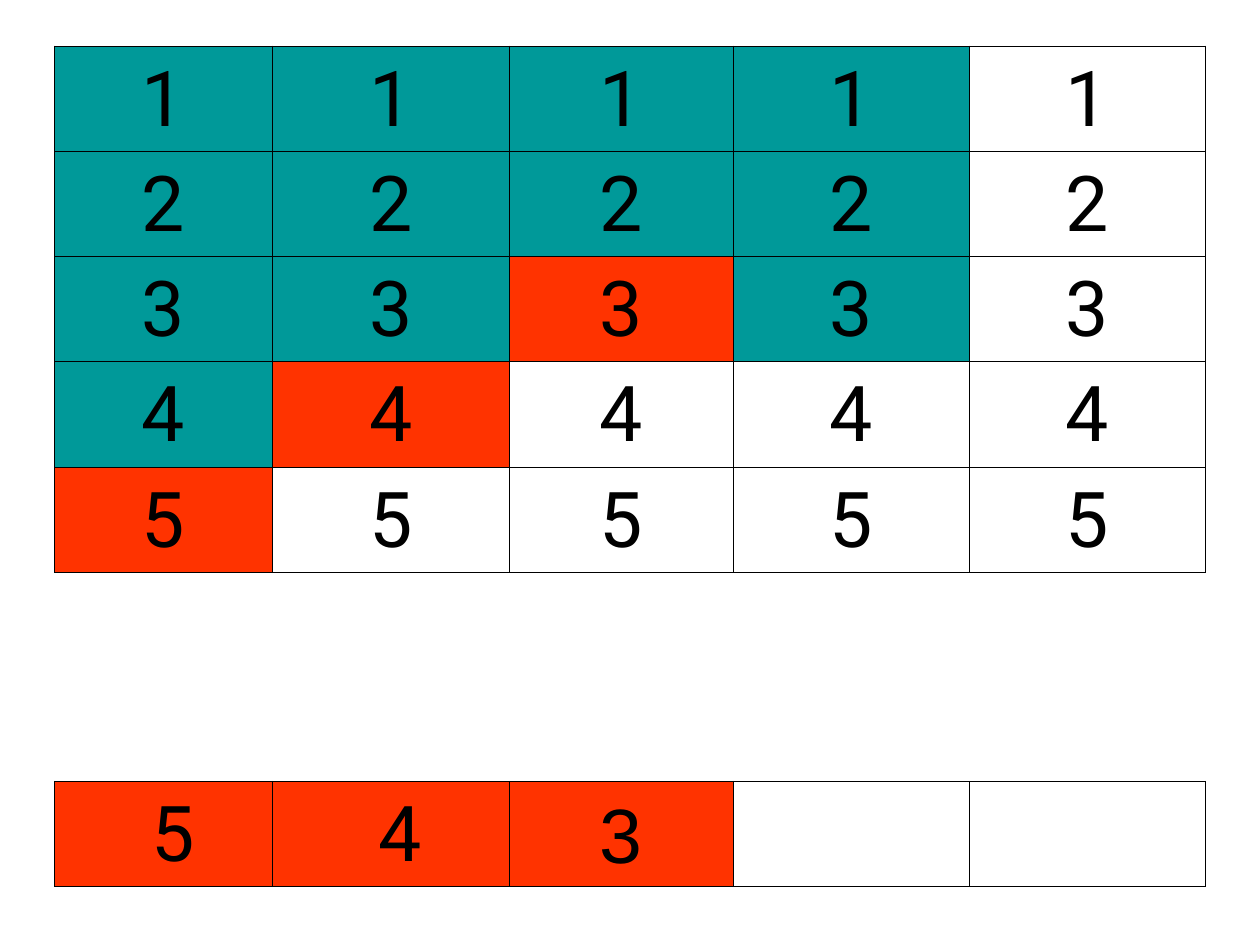
from dataclasses import dataclass

from lxml.etree import SubElement
from pptx import Presentation
from pptx.dml.color import RGBColor
from pptx.enum.text import MSO_ANCHOR as Anchor, PP_ALIGN as Align
from pptx.oxml.ns import qn
from pptx.util import Pt

TEAL = RGBColor(0x00, 0x99, 0x99)
RED = RGBColor(0xFF, 0x33, 0x00)
WHITE = RGBColor(0xFF, 0xFF, 0xFF)
BLACK = RGBColor(0x00, 0x00, 0x00)
FILLS = {"T": TEAL, "R": RED, "W": WHITE}

NO_GRID = "{2D5ABB26-0587-4C30-8999-92F81FD0307C}"
LEFT, TOP = 31.1, 26.3
WIDTHS = [124.6, 135.4, 128, 134.8, 134.9]
HIGH, GAP = 60.17, 119.4
SIDES = ("lnL", "lnR", "lnT", "lnB")


@dataclass
class Row:
    marks: list[str]
    tints: str
    high: float = HIGH
    fonts: tuple[str, ...] = ("Roboto",) * 5


TINTS = ["TTTTW", "TTTTW", "TTRTW", "TRWWW", "RWWWW"]
ROWS = [Row([str(n)] * 5, tints) for n, tints in enumerate(TINTS, 1)]
ROWS.append(Row([""] * 5, "-----", GAP))
ROWS.append(Row([" 5", " 4", "3", "", ""], "RRRWW",
                fonts=("Roboto", "Roboto", "Arial", "Roboto", "Roboto")))


def rule(cell, sides: tuple[str, ...]) -> None:
    """Draw thin black borders on the given sides and none on the others."""
    props = cell._tc.get_or_add_tcPr()
    for side in SIDES:
        line = SubElement(props, qn(f"a:{side}"), w=str(Pt(0.45)))
        if side in sides:
            fill = SubElement(line, qn("a:solidFill"))
            SubElement(fill, qn("a:srgbClr"), val=str(BLACK))
        else:
            SubElement(line, qn("a:noFill"))


def write(cell, mark: str, face: str) -> None:
    cell.vertical_anchor = Anchor.BOTTOM
    para = cell.text_frame.paragraphs[0]
    para.text = mark
    para.alignment = Align.CENTER
    para.font.size = Pt(44)
    para.font.name = face
    para.font.color.rgb = BLACK


def draw(slide, rows: list[Row]) -> None:
    high = sum(row.high for row in rows)
    table = slide.shapes.add_table(
        len(rows), len(WIDTHS), Pt(LEFT), Pt(TOP), Pt(sum(WIDTHS)), Pt(high)
    ).table
    table.first_row = table.horz_banding = False
    table._tbl.tblPr.find(qn("a:tableStyleId")).text = NO_GRID
    for col, wide in zip(table.columns, WIDTHS):
        col.width = Pt(wide)
    for line, row in zip(table.rows, rows):
        line.height = Pt(row.high)
        for cell, mark, tint, face in zip(line.cells, row.marks, row.tints, row.fonts):
            rule(cell, SIDES if tint in FILLS else ("lnT", "lnB"))
            if tint in FILLS:
                cell.fill.solid()
                cell.fill.fore_color.rgb = FILLS[tint]
            else:
                cell.fill.background()
            if mark:
                write(cell, mark, face)


def main() -> None:
    deck = Presentation()
    deck.slide_width, deck.slide_height = Pt(720), Pt(540)
    draw(deck.slides.add_slide(deck.slide_layouts[6]), ROWS)
    deck.save("out.pptx")


if __name__ == "__main__":
    main()
